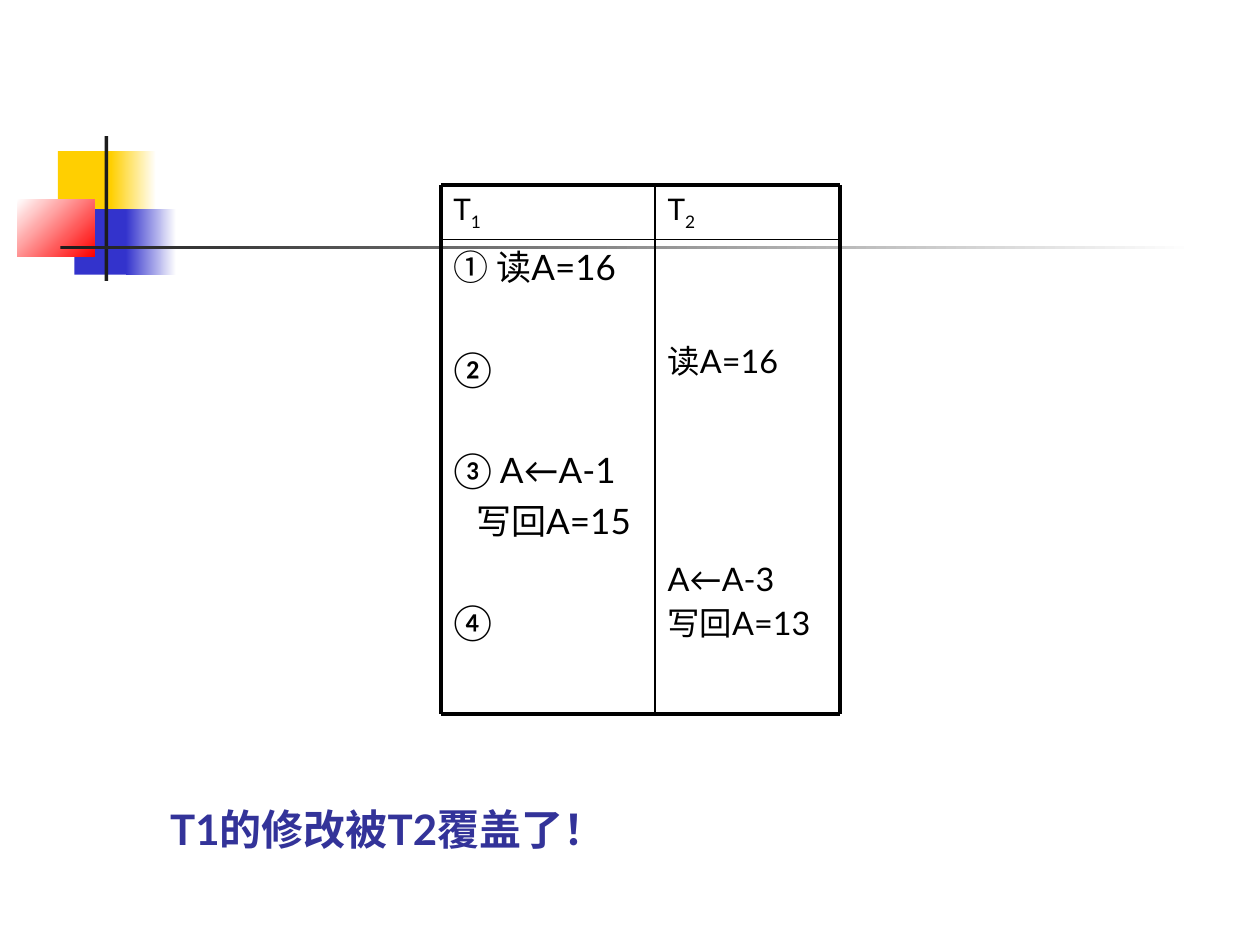
from dataclasses import dataclass

from lxml import etree
from pptx import Presentation
from pptx.dml.color import RGBColor
from pptx.enum import shapes, text
from pptx.oxml import ns
from pptx.util import Inches, Pt

FONT = "Lato"
COLORS = {
    "yellow": "FFCF01",
    "blue": "3333CC",
    "red": "FF0000",
    "white": "FFFFFF",
    "dark": "1C1C1C",
    "title": "333399",
    "ink": "000000",
}


@dataclass
class Block:
    left: float
    top: float
    width: float
    height: float
    start: str
    end: str = ""  # empty for a solid fill
    angle: float = 0


@dataclass
class Step:
    wording: str
    before: float = 5
    indent: float = 0


@dataclass
class Schedule:
    left: float
    right: float
    number: str
    size: float
    spacing: float
    top_inset: float
    steps: list[Step]


BLOCKS = [
    Block(0.46, 1.2, 0.48, 0.52, "yellow"),
    Block(0.88, 1.2, 0.36, 0.52, "yellow", "white"),
    Block(0.59, 1.66, 0.46, 0.52, "blue"),
    Block(1, 1.66, 0.4, 0.52, "blue", "white"),
    Block(0.14, 1.58, 0.61, 0.46, "white", "red", 315),
    Block(0.83, 1.08, 0.03, 1.15, "dark"),
    Block(0.48, 1.95, 9, 0.03, "dark", "white"),
]

# Grid of the schedule: outer edges, column divider and header rule
LEFT, DIVIDER, RIGHT = 3.5, 5.2, 6.67
TOP, HEADER, BOTTOM = 1.47, 1.9, 5.67
THICK, THIN = 2.25, 1

SCHEDULES = [
    Schedule(LEFT, DIVIDER, "1", 20, 1, 0.05, [
        Step("① 读A=16", 0),
        Step("②", 34),
        Step("③ A←A-1", 34),
        Step("写回A=15", indent=0.18),
        Step("④", 34),
    ]),
    Schedule(DIVIDER, RIGHT, "2", 18.5, 0.9, 0.84, [
        Step("读A=16", 0),
        Step("A←A-3", 105),
        Step("写回A=13"),
    ]),
]


def rgb(name: str) -> RGBColor:
    return RGBColor.from_string(COLORS[name])


def style(run, size: float, color: str = "ink", bold: bool = False) -> None:
    run.font.name = FONT
    run.font.size = Pt(size)
    run.font.bold = bold
    run.font.color.rgb = rgb(color)


def draw_block(slide, block: Block) -> None:
    shape = slide.shapes.add_shape(
        shapes.MSO_SHAPE.RECTANGLE, Inches(block.left), Inches(block.top),
        Inches(block.width), Inches(block.height))
    shape.shadow.inherit = False
    shape.line.fill.background()
    if block.end:
        shape.fill.gradient()
        shape.fill.gradient_angle = block.angle
        for stop, color in zip(shape.fill.gradient_stops, (block.start, block.end)):
            stop.color.rgb = rgb(color)
    else:
        shape.fill.solid()
        shape.fill.fore_color.rgb = rgb(block.start)


def add_cell(slide, schedule: Schedule, top: float, bottom: float, inset: float):
    cell = slide.shapes.add_textbox(
        Inches(schedule.left), Inches(top),
        Inches(schedule.right - schedule.left), Inches(bottom - top))
    frame = cell.text_frame
    frame.word_wrap = True
    frame.margin_top = Inches(inset)
    return frame


def draw_schedule(slide, schedule: Schedule) -> None:
    # Steps
    frame = add_cell(slide, schedule, HEADER, BOTTOM, schedule.top_inset)
    frame.text = "\n".join(step.wording for step in schedule.steps)
    for paragraph, step in zip(frame.paragraphs, schedule.steps):
        paragraph.line_spacing = schedule.spacing
        paragraph.space_before = Pt(step.before)
        if step.indent:
            paragraph._p.get_or_add_pPr().set("marL", str(Inches(step.indent)))
        for run in paragraph.runs:
            style(run, schedule.size)

    # Transaction name with its subscript
    name = add_cell(slide, schedule, TOP, HEADER, 0.05).paragraphs[0]
    name.line_spacing = 0.9
    name.space_before = Pt(5)
    for wording in ("T", schedule.number):
        run = name.add_run()
        run.text = wording
        style(run, 17)
    run.font._element.set("baseline", "-25000")


def draw_rule(slide, x1: float, y1: float, x2: float, y2: float, width: float) -> None:
    rule = slide.shapes.add_connector(
        shapes.MSO_CONNECTOR.STRAIGHT, Inches(x1), Inches(y1), Inches(x2), Inches(y2))
    rule.line.color.rgb = rgb("ink")
    rule.line.width = Pt(width)
    etree.SubElement(rule._element.spPr, ns.qn("a:effectLst"))


def write_title(slide, wording: str) -> None:
    title = slide.shapes.title
    title.left, title.top = Inches(1.25), Inches(5.58)
    title.width, title.height = Inches(8.5), Inches(1.25)
    frame = title.text_frame
    frame.text = wording
    frame.auto_size = text.MSO_AUTO_SIZE.NONE
    frame.vertical_anchor = text.MSO_ANCHOR.BOTTOM
    frame.paragraphs[0].alignment = text.PP_ALIGN.LEFT
    style(frame.paragraphs[0].runs[0], 24, "title", bold=True)


def main() -> None:
    deck = Presentation()
    deck.slide_width, deck.slide_height = Inches(10), Inches(7.5)
    slide = deck.slides.add_slide(deck.slide_layouts[5])

    # Corner decoration
    for block in BLOCKS:
        draw_block(slide, block)

    write_title(slide, "T1的修改被T2覆盖了！")

    # Two transactions side by side
    for schedule in reversed(SCHEDULES):
        draw_schedule(slide, schedule)

    # Grid rules
    for y, width in ((TOP, THICK), (HEADER, THIN), (BOTTOM, THICK)):
        draw_rule(slide, LEFT, y, RIGHT, y, width)
    for x, width in ((LEFT, THICK), (DIVIDER, THIN), (RIGHT, THICK)):
        draw_rule(slide, x, TOP, x, BOTTOM, width)

    deck.save("out.pptx")


if __name__ == "__main__":
    main()
